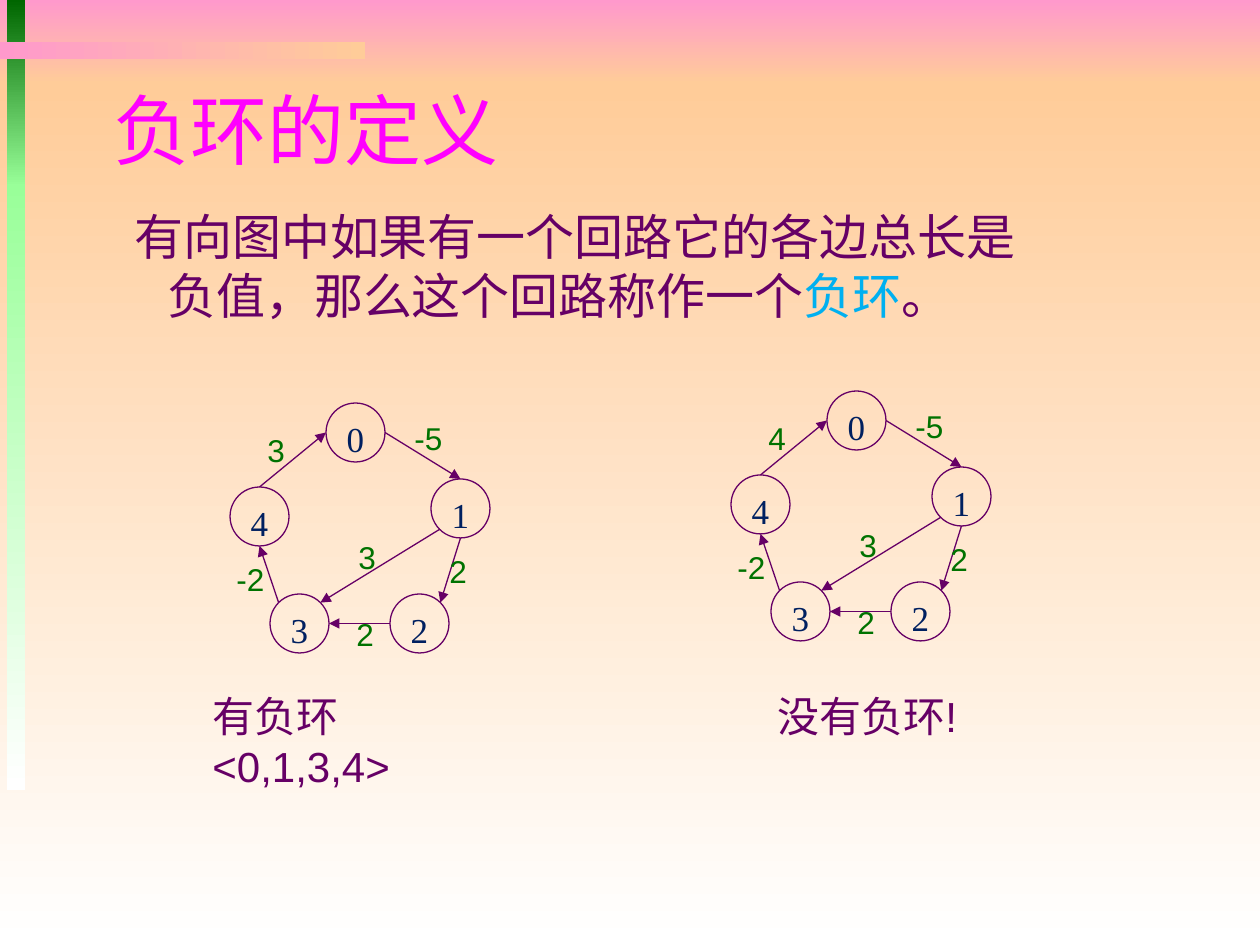
from dataclasses import dataclass

from lxml.etree import SubElement
from pptx import Presentation
from pptx.dml.color import RGBColor
from pptx.enum.shapes import MSO_CONNECTOR, MSO_SHAPE
from pptx.enum.text import MSO_ANCHOR, PP_ALIGN
from pptx.oxml.ns import qn
from pptx.util import Emu, Pt

PX_PER_INCH = 126
NODE = 59
DIAGONAL = 0.5 ** 0.5
COLORS = {
    "pink": "FF99CC", "peach": "FFCC99", "white": "FFFFFF",
    "dark_green": "006600", "light_green": "99FF99",
    "title": "FF00FF", "text": "660066", "accent": "00B0F0",
    "node": "002060", "weight": "007200",
}


@dataclass(frozen=True)
class Band:
    x: int
    y: int
    w: int
    h: int
    start: str
    end: str
    angle: int = 270


@dataclass(frozen=True)
class Edge:
    """Edge between node sites; label_x and label_y are relative to the graph."""
    start: int
    start_site: str
    end: int
    end_site: str
    label_x: int
    label_y: int


@dataclass(frozen=True)
class Graph:
    x: int
    y: int
    weights: tuple[int, ...]


@dataclass(frozen=True)
class Style:
    size: int
    font: str
    color: str


BANDS = (
    Band(0, 0, 1260, 84, "pink", "peach"),
    Band(0, 84, 1260, 861, "peach", "white"),
    Band(7, 0, 18, 187, "dark_green", "light_green"),
    Band(7, 184, 18, 606, "light_green", "white"),
    Band(0, 42, 365, 17, "pink", "peach", 0),
)
# Directions from a node's centre, in radii
SITES = {
    "top": (0, -1), "left": (-1, 0), "bottom": (0, 1), "right": (1, 0),
    "top_left": (-DIAGONAL, -DIAGONAL), "top_right": (DIAGONAL, -DIAGONAL),
    "bottom_left": (-DIAGONAL, DIAGONAL),
}
NODES = {0: (96, 0), 4: (0, 84), 2: (160, 191), 3: (40, 191), 1: (201, 76)}
EDGES = (
    Edge(4, "top", 0, "left", 25, 22),
    Edge(0, "right", 1, "top", 172, 10),
    Edge(1, "bottom_left", 3, "top_right", 116, 129),
    Edge(3, "top_left", 4, "bottom", -6, 151),
    Edge(1, "bottom", 2, "top_right", 207, 143),
    Edge(2, "left", 3, "right", 114, 206),
)
GRAPHS = (
    Graph(230, 403, (3, -5, 3, -2, 2, 2)),
    Graph(731, 391, (4, -5, 3, -2, 2, 2)),
)
TITLE = Style(44, "Arial Narrow", "title")
BODY = Style(28, "Arial", "text")
ACCENT = Style(28, "Arial", "accent")
CAPTION = Style(24, "Arial", "text")
NODE_TEXT = Style(20, "Times New Roman", "node")
WEIGHT = Style(18, "Arial", "weight")


def px(value: float) -> Emu:
    return Emu(round(value * 914400 / PX_PER_INCH))


def rgb(name: str) -> RGBColor:
    return RGBColor.from_string(COLORS[name])


def add_run(p, text: str, style: Style) -> None:
    r = p.add_run()
    r.text = text
    r.font.size = Pt(style.size)
    r.font.name = style.font
    r.font.color.rgb = rgb(style.color)


def add_text(s, x: int, y: int, w: int, h: int, lines, wrap: bool = True):
    """Add a box with one paragraph; each line is a list of (text, style)."""
    tf = s.shapes.add_textbox(px(x), px(y), px(w), px(h)).text_frame
    tf.word_wrap = wrap
    p = tf.paragraphs[0]
    for i, line in enumerate(lines):
        if i:
            p.add_line_break()
        for text, style in line:
            add_run(p, text, style)
    return tf


def add_band(s, band: Band) -> None:
    sp = s.shapes.add_shape(MSO_SHAPE.RECTANGLE, px(band.x), px(band.y),
                            px(band.w), px(band.h))
    sp.shadow.inherit = False
    sp.line.fill.background()
    sp.fill.gradient()
    sp.fill.gradient_angle = band.angle
    for stop, color in zip(sp.fill.gradient_stops, (band.start, band.end)):
        stop.color.rgb = rgb(color)


def add_node(s, x: int, y: int, number: int) -> None:
    sp = s.shapes.add_shape(MSO_SHAPE.OVAL, px(x), px(y), px(NODE), px(NODE))
    sp.shadow.inherit = False
    sp.fill.background()
    sp.line.color.rgb = rgb("text")
    sp.line.width = Pt(0.75)
    tf = sp.text_frame
    tf.word_wrap = False
    tf.vertical_anchor = MSO_ANCHOR.TOP
    tf.paragraphs[0].alignment = PP_ALIGN.CENTER
    add_run(tf.paragraphs[0], str(number), NODE_TEXT)


def site_point(graph: Graph, node: int, site: str) -> tuple[Emu, Emu]:
    x, y = NODES[node]
    dx, dy = SITES[site]
    radius = NODE / 2
    return (px(graph.x + x + radius * (1 + dx)),
            px(graph.y + y + radius * (1 + dy)))


def add_arrow(s, graph: Graph, edge: Edge) -> None:
    line = s.shapes.add_connector(
        MSO_CONNECTOR.STRAIGHT,
        *site_point(graph, edge.start, edge.start_site),
        *site_point(graph, edge.end, edge.end_site))
    line.line.color.rgb = rgb("text")
    line.line.width = Pt(0.75)
    ln = line.line._get_or_add_ln()
    SubElement(ln, qn("a:tailEnd"), type="triangle")
    SubElement(ln.getparent(), qn("a:effectLst"))


def add_graph(s, graph: Graph) -> None:
    for number, (x, y) in NODES.items():
        add_node(s, graph.x + x, graph.y + y, number)
    for edge in EDGES:
        add_arrow(s, graph, edge)
    for edge, weight in zip(EDGES, graph.weights):
        add_text(s, graph.x + edge.label_x, graph.y + edge.label_y, 86, 50,
                 [[(str(weight), WEIGHT)]])


def main() -> None:
    prs = Presentation()
    prs.slide_width, prs.slide_height = px(1260), px(945)
    s = prs.slides.add_slide(prs.slide_layouts[6])
    for band in BANDS:
        add_band(s, band)

    title = add_text(s, 101, 72, 1071, 113, [[("负环的定义", TITLE)]])
    title.vertical_anchor = MSO_ANCHOR.MIDDLE
    body = add_text(s, 88, 200, 1172, 156, [
        [("有向图中如果有一个回路它的各边总长是", BODY)],
        [("负值，那么这个回路称作一个", BODY), ("负环", ACCENT), ("。", BODY)],
    ])
    p_pr = body.paragraphs[0]._p.get_or_add_pPr()
    p_pr.set("marL", str(px(67)))
    p_pr.set("indent", str(px(-33)))

    for graph in GRAPHS:
        add_graph(s, graph)
    add_text(s, 200, 684, 331, 63,
             [[("有负环", CAPTION)], [("<0,1,3,4>", CAPTION)]], wrap=False)
    add_text(s, 765, 684, 207, 63, [[("没有负环!", CAPTION)]], wrap=False)
    prs.save("out.pptx")


if __name__ == "__main__":
    main()
